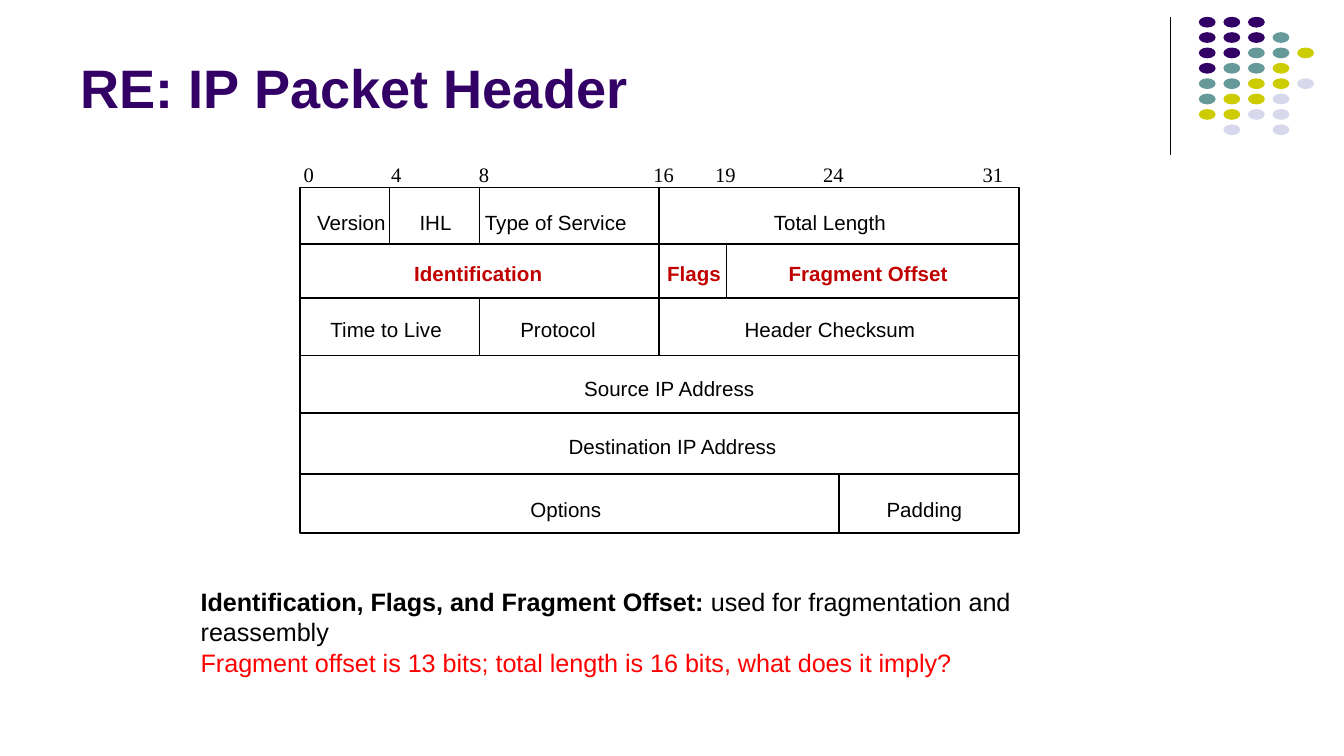
from collections import namedtuple

from lxml import etree
from pptx import Presentation
from pptx.dml.color import RGBColor
from pptx.enum.shapes import MSO_CONNECTOR, MSO_SHAPE
from pptx.enum.text import MSO_ANCHOR, PP_ALIGN
from pptx.oxml.ns import qn
from pptx.util import Emu, Pt

STRAIGHT = MSO_CONNECTOR.STRAIGHT
RECTANGLE, OVAL = MSO_SHAPE.RECTANGLE, MSO_SHAPE.OVAL
LEFT, CENTER = PP_ALIGN.LEFT, PP_ALIGN.CENTER
BOTTOM = MSO_ANCHOR.BOTTOM

Box = namedtuple("Box", "left top width height")
SLIDE = Box(0, 0, 100, 56.25)
GRID_UNIT = 91440
BITS = 32
RULE_WIDTH = 0.88

COLORS = {
    "black": "000000", "purple": "330066", "teal": "669999", "olive": "CCCC00",
    "lavender": "D8D8EC", "crimson": "C00000", "red": "FF0000",
}
FORMATS = {
    "title": {"name": "Arial", "size": Pt(29), "bold": True, "color": "purple"},
    "field": {"name": "Arial", "size": Pt(11), "bold": False, "color": "black"},
    "key_field": {"name": "Arial", "size": Pt(11), "bold": True, "color": "crimson"},
    "bit": {"name": "Times New Roman", "size": Pt(11), "bold": False, "color": "black"},
    "term": {"name": "Arial", "size": Pt(13.5), "bold": True, "color": "black"},
    "note": {"name": "Arial", "size": Pt(13.5), "bold": False, "color": "black"},
    "question": {"name": "Arial", "size": Pt(13.5), "bold": False, "color": "red"},
}
DOT_COLORS = {"P": "purple", "T": "teal", "Y": "olive", "L": "lavender"}
DOT_ROWS = ["PPP", "PPPT", "PPTTY", "PTTY", "TTYYL", "TYYL", "YYLL", " L L"]

HeaderRow = namedtuple("HeaderRow", "height text_offset style fields")
HEADER_ROWS = [
    HeaderRow(4.2, 1.7, "field", [("Version", 4, 2.3), ("IHL", 8, 6.05),
                                  ("Type of Service", 16, 11.4),
                                  ("Total Length", 32, 23.6)]),
    HeaderRow(4.0, 1.3, "key_field", [("Identification", 16, 7.95), ("Flags", 19, 17.55),
                                      ("Fragment Offset", 32, 25.3)]),
    HeaderRow(4.3, 1.4, "field", [("Time to Live", 8, 3.85), ("Protocol", 16, 11.5),
                                  ("Header Checksum", 32, 23.6)]),
    HeaderRow(4.3, 1.5, "field", [("Source IP Address", 32, 16.45)]),
    HeaderRow(4.5, 1.55, "field", [("Destination IP Address", 32, 16.6)]),
    HeaderRow(4.4, 1.7, "field", [("Options", 24, 11.85), ("Padding", 32, 27.8)]),
]
BIT_LABELS = [("0", 0.4), ("4", 4.3), ("8", 8.2), ("16", 16.2), ("19", 18.95),
              ("24", 23.75), ("31", 30.85)]
NOTES = [
    [("Identification, Flags, and Fragment Offset:", "term"),
     (" used for fragmentation and reassembly", "note")],
    [("Fragment offset is 13 bits; total length is 16 bits, what does it imply?",
      "question")],
]


def to_emu(*lengths):
    """Convert grid lengths to slide units."""
    return [Emu(round(length * GRID_UNIT)) for length in lengths]


def color(name):
    """Look up a named colour."""
    return RGBColor.from_string(COLORS[name])


def add_run(paragraph, text, style):
    """Append a run in one of the named formats."""
    run = paragraph.add_run()
    run.text = text
    for attribute, value in FORMATS[style].items():
        if attribute == "color":
            run.font.color.rgb = color(value)
        else:
            setattr(run.font, attribute, value)


def add_rule(slide, start, end, width=RULE_WIDTH):
    """Draw a black line between two grid points."""
    connector = slide.shapes.add_connector(STRAIGHT, *to_emu(*start, *end))
    connector.line.color.rgb = color("black")
    connector.line.width = Pt(width)
    etree.SubElement(connector._element.spPr, qn("a:effectLst"))


def add_label(slide, center, top, text, style):
    """Place a one-line label centred on a grid column."""
    width = 20
    label = slide.shapes.add_textbox(*to_emu(center - width / 2, top, width, 1.9))
    frame = label.text_frame
    for side in ("left", "top", "right", "bottom"):
        setattr(frame, f"margin_{side}", 0)
    frame.word_wrap = True
    paragraph = frame.paragraphs[0]
    paragraph.alignment = CENTER
    add_run(paragraph, text, style)


def add_dots(slide, box):
    """Draw the corner dots with the rule on their left."""
    add_rule(slide, (box.left - 2.1, box.top), (box.left - 2.1, box.top + 10.3), 0.75)
    column_step, row_step = box.width / 5, box.height / len(DOT_ROWS)
    for row, codes in enumerate(DOT_ROWS):
        for column, code in enumerate(codes):
            if code in DOT_COLORS:
                dot = slide.shapes.add_shape(OVAL, *to_emu(
                    box.left + column * column_step, box.top + row * row_step, 1.25, 0.8))
                dot.shadow.inherit = False
                dot.fill.solid()
                dot.fill.fore_color.rgb = color(DOT_COLORS[code])
                dot.line.fill.background()


def add_title(slide, box, text):
    """Fill the title placeholder."""
    title = slide.shapes.title
    title.left, title.top, title.width, title.height = to_emu(*box)
    title.text_frame.vertical_anchor = BOTTOM
    paragraph = title.text_frame.paragraphs[0]
    paragraph.alignment = LEFT
    add_run(paragraph, text, "title")


def add_packet_header(slide, box):
    """Draw the header fields on a 32-bit scale."""
    bit_width = box.width / BITS
    outline = slide.shapes.add_shape(RECTANGLE, *to_emu(*box))
    outline.shadow.inherit = False
    outline.fill.background()
    outline.line.color.rgb = color("black")
    outline.line.width = Pt(RULE_WIDTH)
    for text, bit in BIT_LABELS:
        add_label(slide, box.left + bit * bit_width, box.top - 1.9, text, "bit")
    top = box.top
    for row in HEADER_ROWS:
        if top > box.top:
            add_rule(slide, (box.left, top), (box.left + box.width, top))
        for text, end_bit, center_bit in row.fields:
            center = box.left + center_bit * bit_width
            add_label(slide, center, top + row.text_offset, text, row.style)
            if end_bit < BITS:
                edge = box.left + end_bit * bit_width
                add_rule(slide, (edge, top), (edge, top + row.height))
        top += row.height


def add_notes(slide, box):
    """Write the explanation below the header."""
    frame = slide.shapes.add_textbox(*to_emu(*box)).text_frame
    frame.word_wrap = True
    for index, runs in enumerate(NOTES):
        paragraph = frame.add_paragraph() if index else frame.paragraphs[0]
        for text, style in runs:
            add_run(paragraph, text, style)


def main():
    """Build and save the slide."""
    presentation = Presentation()
    presentation.slide_width, presentation.slide_height = to_emu(SLIDE.width, SLIDE.height)
    slide = presentation.slides.add_slide(presentation.slide_layouts[5])
    add_dots(slide, Box(89.2, 1.25, 9.15, 9.15))
    add_title(slide, Box(5, 1, 82.5, 8.4), "RE: IP Packet Header")
    add_packet_header(slide, Box(22.3, 13.95, 53.5, 25.7))
    add_notes(slide, Box(13.95, 43.15, 71.2, 7.8))
    presentation.save("out.pptx")


if __name__ == "__main__":
    main()
